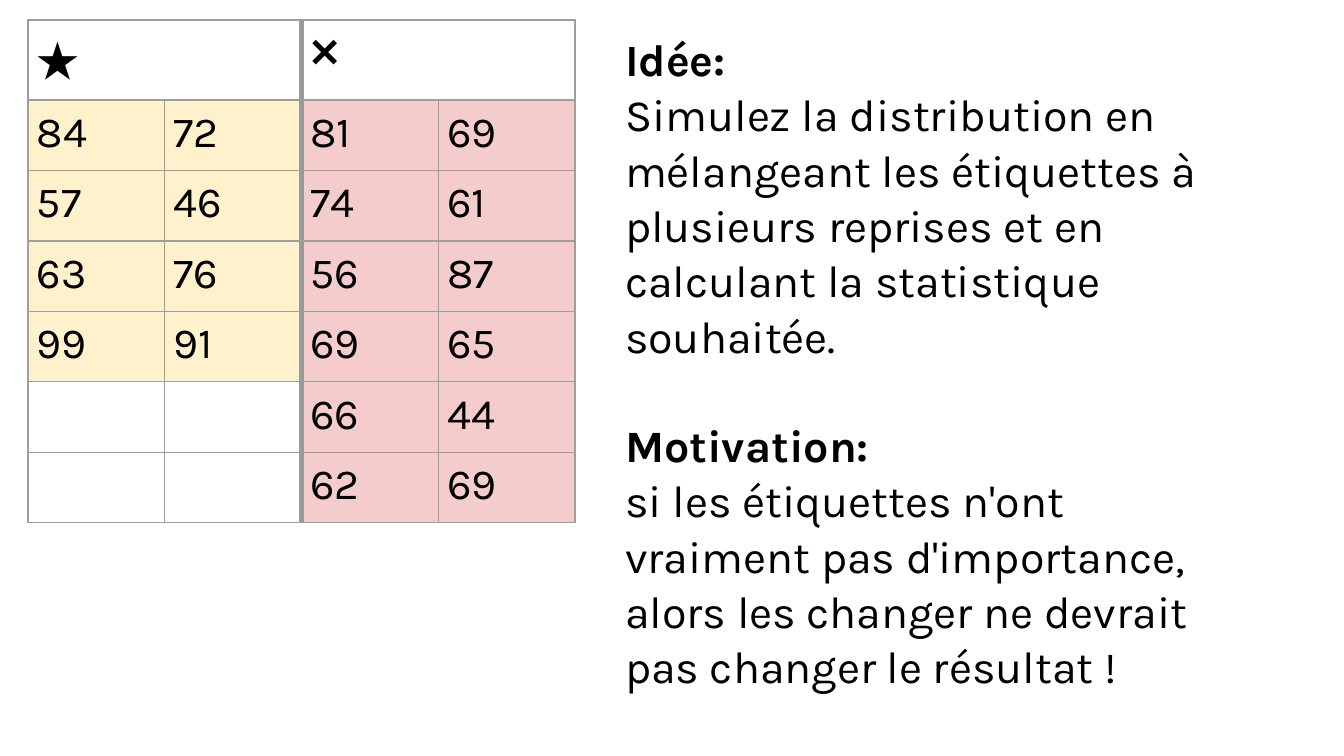
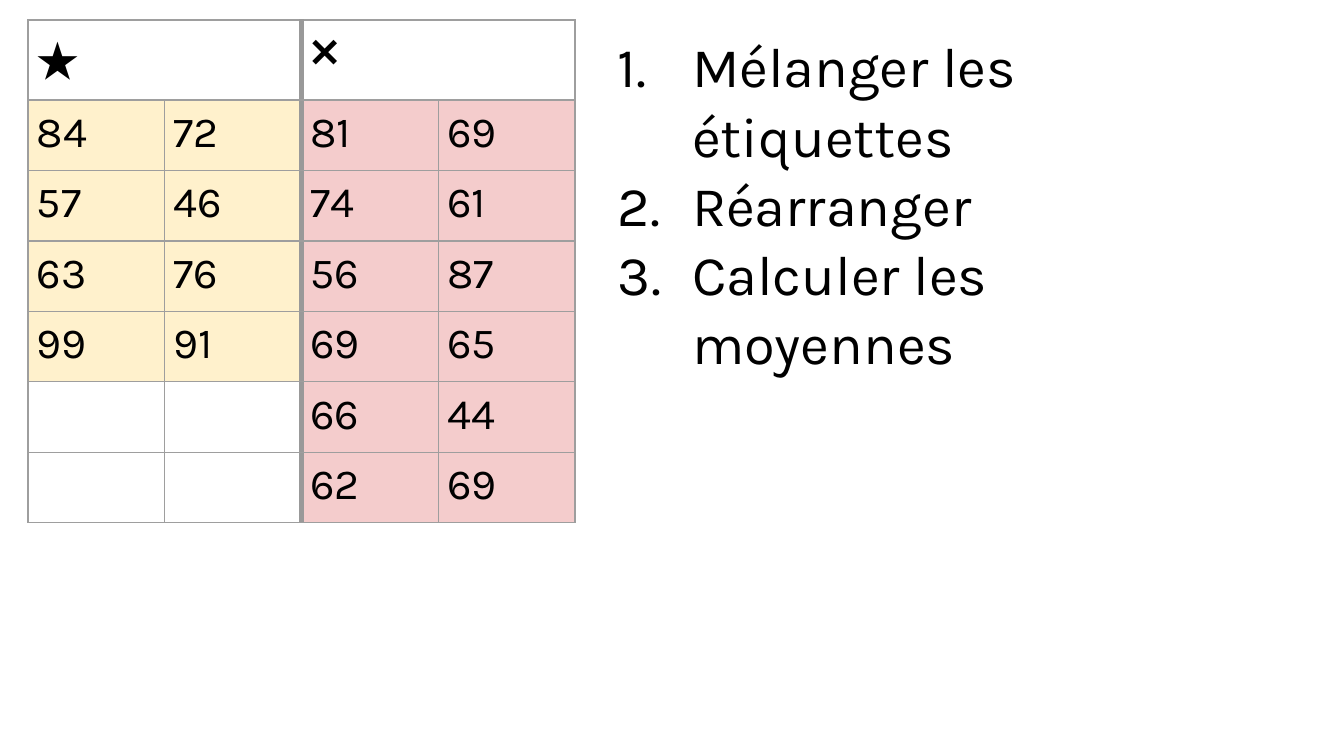
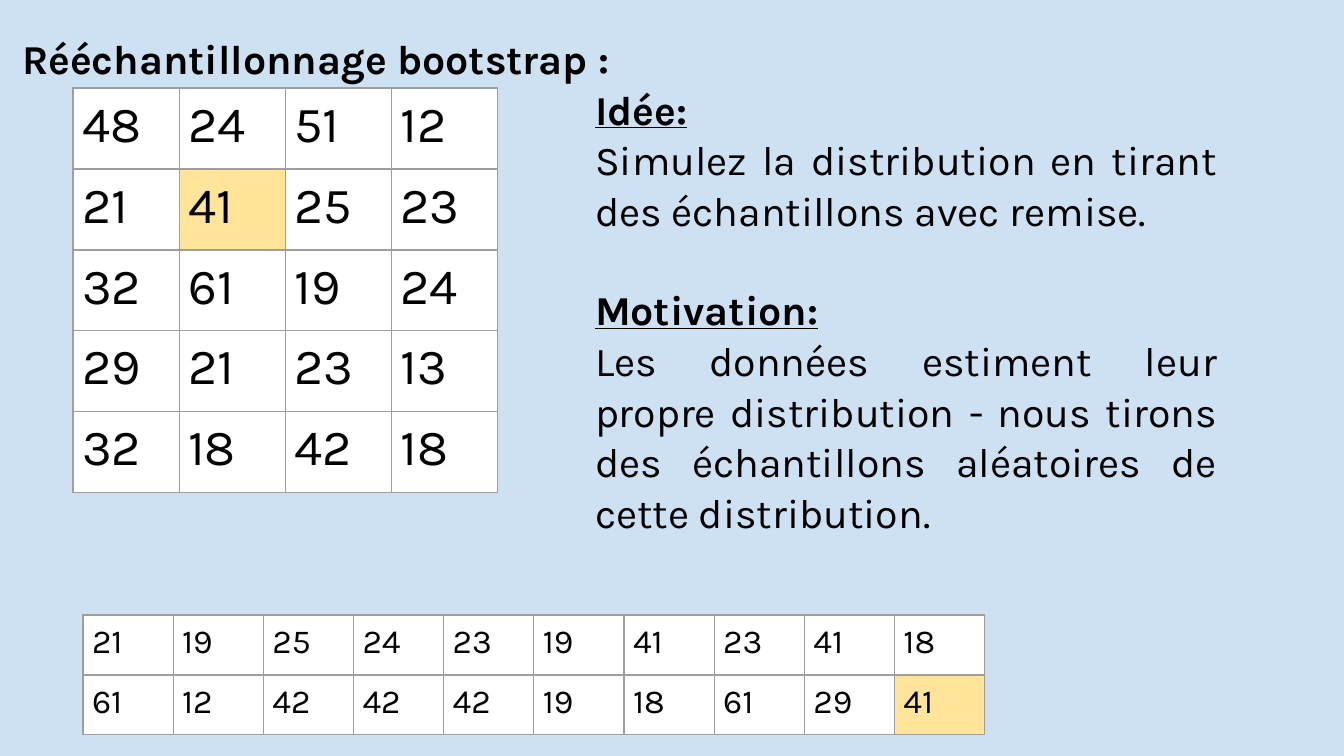
from lxml import etree
from pptx import Presentation
from pptx.dml.color import RGBColor
from pptx.enum.shapes import MSO_SHAPE
from pptx.enum.text import PP_ALIGN
from pptx.oxml.ns import qn
from pptx.util import Pt

RECTANGLE = MSO_SHAPE.RECTANGLE
LEFT, JUSTIFY = PP_ALIGN.LEFT, PP_ALIGN.JUSTIFY

# Shared look
PX = 914400 / 134.4
WIDTH, HEIGHT = 1344, 756
FONT, SYMBOL_FONT = "Karla", "Noto Sans CJK JP"
BLACK, WHITE, SKY = "000000", "FFFFFF", "CEE1F3"
CREAM, PINK, GOLD = "FFF1CC", "F4CCCC", "FFE499"
GRID, DIVIDER = ("9E9E9E", 0.75), ("999999", 3)
CELL_INDENT, CELL_TOP = 9, 8
LINE_SPACING = 1.03

# Content
LABELS = ["★", "", "❌", ""]
GROUPS = [
    ["84", "72", "81", "69"],
    ["57", "46", "74", "61"],
    ["63", "76", "56", "87"],
    ["99", "91", "69", "65"],
    ["", "", "66", "44"],
    ["", "", "62", "69"],
]
PERMUTATION = [
    ("Idée:", "Simulez la distribution en mélangeant les étiquettes à plusieurs "
              "reprises et en calculant la statistique souhaitée."),
    ("Motivation:", "si les étiquettes n'ont vraiment pas d'importance, alors les "
                    "changer ne devrait pas changer le résultat !"),
]
STEPS = ["Mélanger les étiquettes", "Réarranger", "Calculer les moyennes"]
BOOTSTRAP_TITLE = "Rééchantillonnage bootstrap :"
BOOTSTRAP = [
    ("Idée:", "Simulez la distribution en tirant des échantillons avec remise."),
    ("Motivation:", "Les données estiment leur propre distribution - nous tirons des "
                    "échantillons aléatoires de cette distribution."),
]
SAMPLE = [
    ["48", "24", "51", "12"],
    ["21", "41", "25", "23"],
    ["32", "61", "19", "24"],
    ["29", "21", "23", "13"],
    ["32", "18", "42", "18"],
]
RESAMPLE = [
    ["21", "19", "25", "24", "23", "19", "41", "23", "41", "18"],
    ["61", "12", "42", "42", "42", "19", "18", "61", "29", "41"],
]


def px(length):
    return round(length * PX)


def color(hex_string):
    return RGBColor.from_string(hex_string)


def write(frame, text, size, font=FONT, bold=False, underline=False, align=LEFT,
          indent=0, hanging=0, right=0, before=0, spacing=None, numbered=False):
    """Put text in the first paragraph if it is free, else in a new one."""
    paragraph = frame.paragraphs[0]
    if paragraph.runs:
        paragraph = frame.add_paragraph()
        paragraph.space_before = Pt(before)
    paragraph.alignment = align
    if spacing:
        paragraph.line_spacing = spacing
    props = paragraph._p.get_or_add_pPr()
    for name, length in (("marL", indent), ("marR", right), ("indent", -hanging)):
        props.set(name, str(px(length)))
    if numbered:
        etree.SubElement(props, qn("a:buFont"), typeface=font)
        etree.SubElement(props, qn("a:buAutoNum"), type="arabicPeriod")
    run = paragraph.add_run()
    run.text = text
    run.font.size, run.font.name = Pt(size), font
    run.font.bold, run.font.underline = bold, underline
    run.font.color.rgb = color(BLACK)
    etree.SubElement(run._r.get_or_add_rPr(), qn("a:ea"), typeface=font)


def add_text_box(slide, left, top, width, height, inset):
    frame = slide.shapes.add_textbox(*map(px, (left, top, width, height))).text_frame
    frame.word_wrap = True
    frame.margin_left = frame.margin_right = frame.margin_bottom = 0
    frame.margin_top = px(inset)
    return frame


def write_sections(frame, sections, size, gap, underline=False, **layout):
    for heading, body in sections:
        write(frame, heading, size, bold=True, underline=underline,
              before=0 if heading == sections[0][0] else gap, **layout)
        write(frame, body, size, **layout)


def set_borders(cell, **sides):
    props = cell._tc.get_or_add_tcPr()
    for position, side in enumerate("LRTB"):
        hex_string, points = sides.get(side, GRID)
        line = etree.Element(qn("a:ln" + side), w=str(Pt(points)))
        fill = etree.SubElement(line, qn("a:solidFill"))
        etree.SubElement(fill, qn("a:srgbClr"), val=hex_string)
        props.insert(position, line)


def add_grid(slide, rows, left, top, width, heights, size, fill_of, divider=None):
    """Draw a table; fill_of(row, column) gives a colour or None."""
    columns = len(rows[0])
    table = slide.shapes.add_table(len(rows), columns, px(left), px(top),
                                   px(width), px(sum(heights))).table
    table.first_row = table.horz_banding = False
    for column in table.columns:
        column.width = px(width / columns)
    for r, values in enumerate(rows):
        table.rows[r].height = px(heights[r])
        for c, value in enumerate(values):
            cell = table.cell(r, c)
            cell.margin_left = cell.margin_right = cell.margin_bottom = 0
            cell.margin_top = px(CELL_TOP)
            fill = fill_of(r, c)
            if fill:
                cell.fill.solid()
                cell.fill.fore_color.rgb = color(fill)
            else:
                cell.fill.background()
            sides = {}
            if divider and c == divider - 1:
                sides["R"] = DIVIDER
            if divider and c == divider:
                sides["L"] = DIVIDER
            set_borders(cell, **sides)
            if value:
                write(cell.text_frame, value, size, indent=CELL_INDENT,
                      font=SYMBOL_FONT if value == "★" else FONT)
    return table


def group_fill(row, column):
    if row == 0 or not GROUPS[row - 1][column]:
        return None
    return CREAM if column < 2 else PINK


def add_groups(slide):
    heights = [80] + [70.5] * len(GROUPS)
    table = add_grid(slide, [LABELS] + GROUPS, 28, 20, 547, heights, 23,
                     group_fill, divider=2)
    for first in (0, 2):
        table.cell(0, first).merge(table.cell(0, first + 1))
    # The merged label carries the divider on its outer right side
    right_line = table.cell(0, 0)._tc.tcPr.find(qn("a:lnR"))
    right_line.set("w", str(Pt(DIVIDER[1])))
    right_line.find(".//" + qn("a:srgbClr")).set("val", DIVIDER[0])


def highlight(row, column):
    """Return a fill rule that marks one cell."""
    return lambda r, c: GOLD if (r, c) == (row, column) else WHITE


def main():
    deck = Presentation()
    deck.slide_width, deck.slide_height = px(WIDTH), px(HEIGHT)
    permutation, steps, bootstrap = (
        deck.slides.add_slide(deck.slide_layouts[6]) for _ in range(3))

    # Permutation idea
    add_groups(permutation)
    frame = add_text_box(permutation, 624, 26, 695, 652, 4)
    write_sections(frame, PERMUTATION, 24, 29, indent=1, right=100,
                   spacing=LINE_SPACING)

    # Permutation steps
    add_groups(steps)
    frame = add_text_box(steps, 617, 26, 509, 206, 4)
    for step in STEPS:
        write(frame, step, 30, indent=75, hanging=74, numbered=True,
              spacing=LINE_SPACING)

    # Bootstrap resampling
    backdrop = bootstrap.shapes.add_shape(RECTANGLE, 0, 0, px(WIDTH), px(HEIGHT))
    backdrop.shadow.inherit = False
    backdrop.fill.solid()
    backdrop.fill.fore_color.rgb = color(SKY)
    backdrop.line.fill.background()
    add_grid(bootstrap, SAMPLE, 73, 88, 425, [81] * 5, 27, highlight(1, 1))
    add_grid(bootstrap, RESAMPLE, 83, 615, 902, [60] * 2, 18, highlight(1, 9))
    frame = add_text_box(bootstrap, 22, 0, 1247, 555, 32)
    write(frame, BOOTSTRAP_TITLE, 22, bold=True, align=JUSTIFY, spacing=LINE_SPACING)
    write_sections(frame, BOOTSTRAP, 22, 26, underline=True, align=JUSTIFY,
                   indent=573, right=52, spacing=LINE_SPACING)

    deck.save("out.pptx")


if __name__ == "__main__":
    main()
